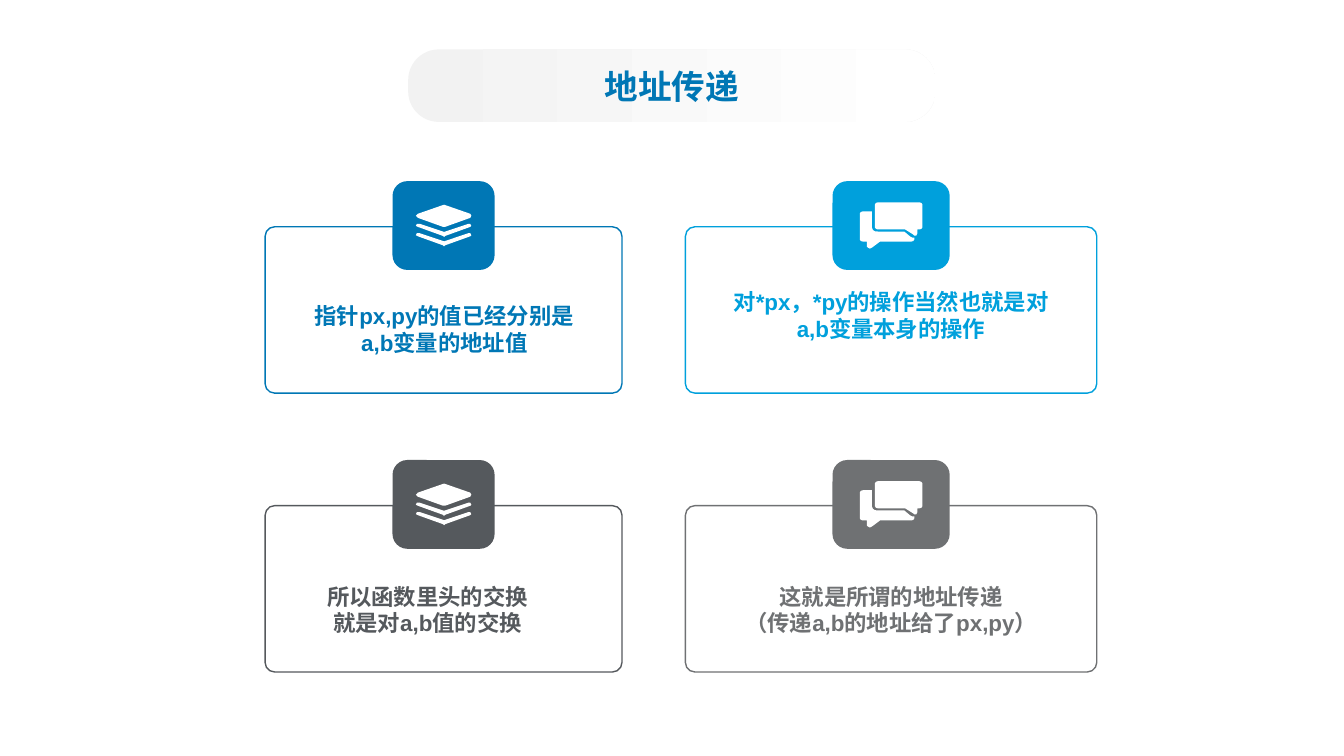
from pptx import Presentation
from pptx.dml.color import RGBColor
from pptx.enum.shapes import MSO_SHAPE
from pptx.enum.text import MSO_ANCHOR, PP_ALIGN
from pptx.util import Pt

BLUE = RGBColor(0x00, 0x77, 0xB5)
SKY = RGBColor(0x00, 0xA0, 0xDC)
SLATE = RGBColor(0x55, 0x59, 0x5D)
GRAY = RGBColor(0x6F, 0x71, 0x73)
PALE = RGBColor(0xF2, 0xF2, 0xF2)
WHITE = RGBColor(0xFF, 0xFF, 0xFF)

ICON_UNIT = 0.72
FINENESS = 10
ROW_TOPS = (162, 361.2)
CARD_HEIGHT = 118.8
BADGE_HEIGHT = 63.4
BADGE_RISE = 32.6

SHEET = [(2, 9), (27, 0.3), (28, 0), (29, 0.3), (54, 9), (55, 11),
         (54, 13), (29, 22), (27, 22), (2, 13), (0, 11)]
CHEVRON = [(3, 19), (4, 19), (28, 27), (52, 19), (54, 19), (55, 21), (54, 22),
           (29, 31), (28, 32), (27, 31), (2, 22), (0, 21), (1, 19)]
LAYERS = [SHEET, CHEVRON, [(x, y + 9.3) for x, y in CHEVRON]]
FRONT_BUBBLE = [(18, 0), (59, 0), (61, 0.6), (62, 2), (62, 25), (61, 26.4),
                (59, 27), (57, 27), (57, 31), (56, 33), (54, 33), (53, 32),
                (45, 27), (18, 27), (16, 26.4), (15, 25), (15, 2), (16, 0.6)]
BACK_BUBBLE = [(44, 29), (50, 34), (52, 35), (54, 35), (54, 37), (53, 38.4),
               (51, 39), (20, 39), (12, 45), (10, 46), (8, 45), (7, 44),
               (7, 39), (3, 39), (1, 38.4), (0, 37), (0, 11), (1, 9.6),
               (3, 9), (12, 9), (12, 25), (13, 27.5), (15, 28.8), (18, 29)]
BUBBLES = [FRONT_BUBBLE, BACK_BUBBLE]

COLUMNS = (
    {"left": 189.4, "width": 254.9, "badge_width": 72.9, "icon": LAYERS},
    {"left": 489.6, "width": 293.8, "badge_width": 83.7, "icon": BUBBLES},
)
CARDS = (
    (0, 0, BLUE, ("指针px,py的值已经分别是", "a,b变量的地址值"), (12, 54, 232, 53.3)),
    (0, 1, SKY, ("对*px，*py的操作当然也就是对", "a,b变量本身的操作"), (13.4, 44, 267, 63.4)),
    (1, 0, SLATE, ("所以函数里头的交换", "就是对a,b值的交换"), (0, 55, 232, 50.4)),
    (1, 1, GRAY, ("这就是所谓的地址传递", "（传递a,b的地址给了px,py）"), (13.4, 55, 267, 56.9)),
)


def style_paragraph(paragraph, text, size, font, color):
    paragraph.text = text
    paragraph.alignment = PP_ALIGN.CENTER
    paragraph.font.size = Pt(size)
    paragraph.font.name = font
    paragraph.font.bold = True
    paragraph.font.color.rgb = color


def add_rounded_box(shapes, left, top, width, height):
    box = shapes.add_shape(MSO_SHAPE.ROUNDED_RECTANGLE,
                           Pt(left), Pt(top), Pt(width), Pt(height))
    box.shadow.inherit = False
    return box


def add_icon(shapes, contours, center_x, center_y):
    width = max(x for contour in contours for x, _ in contour) * ICON_UNIT
    height = max(y for contour in contours for _, y in contour) * ICON_UNIT
    scaled = [[(x * FINENESS, y * FINENESS) for x, y in contour]
              for contour in contours]
    builder = shapes.build_freeform(*scaled[0][0], scale=Pt(ICON_UNIT) / FINENESS)
    builder.add_line_segments(scaled[0][1:])
    for contour in scaled[1:]:
        builder.move_to(*contour[0])
        builder.add_line_segments(contour[1:])
    icon = builder.convert_to_shape(Pt(center_x - width / 2), Pt(center_y - height / 2))
    icon.shadow.inherit = False
    icon.fill.solid()
    icon.fill.fore_color.rgb = WHITE
    icon.line.fill.background()


def add_card(slide, column, top, color, lines, text_box):
    shapes = slide.shapes.add_group_shape().shapes
    left, width = column["left"], column["width"]
    center_x = left + width / 2

    frame = add_rounded_box(shapes, left, top, width, CARD_HEIGHT)
    frame.adjustments[0] = 0.057
    frame.fill.background()
    frame.line.color.rgb = color
    frame.line.width = Pt(1)

    badge_top = top - BADGE_RISE
    badge = add_rounded_box(shapes, center_x - column["badge_width"] / 2, badge_top,
                            column["badge_width"], BADGE_HEIGHT)
    badge.fill.solid()
    badge.fill.fore_color.rgb = color
    badge.line.fill.background()
    add_icon(shapes, column["icon"], center_x, badge_top + BADGE_HEIGHT / 2)

    inset_x, inset_y, text_width, text_height = text_box
    message = shapes.add_textbox(Pt(left + inset_x), Pt(top + inset_y),
                                 Pt(text_width), Pt(text_height)).text_frame
    message.word_wrap = False
    message.margin_left = message.margin_right = 0
    message.margin_top = message.margin_bottom = 0
    style_paragraph(message.paragraphs[0], lines[0], 16, "Arial", color)
    for line in lines[1:]:
        style_paragraph(message.add_paragraph(), line, 16, "Arial", color)


def add_title(slide, left, top, width, height):
    banner = add_rounded_box(slide.shapes, left, top, width, height)
    banner.adjustments[0] = 0.423
    banner.line.fill.background()
    banner.fill.gradient()
    banner.fill.gradient_angle = 0
    for stop, position, color in zip(banner.fill.gradient_stops, (0, 0.99), (PALE, WHITE)):
        stop.position = position
        stop.color.rgb = color
    banner.text_frame.vertical_anchor = MSO_ANCHOR.MIDDLE
    style_paragraph(banner.text_frame.paragraphs[0], "地址传递", 24, "Noto Sans CJK SC", BLUE)


def main():
    presentation = Presentation()
    presentation.slide_width = Pt(960)
    presentation.slide_height = Pt(540)
    slide = presentation.slides.add_slide(presentation.slide_layouts[6])
    for row, column, color, lines, text_box in CARDS:
        add_card(slide, COLUMNS[column], ROW_TOPS[row], color, lines, text_box)
    add_title(slide, 291.6, 35.3, 376.6, 51.8)
    presentation.save("out.pptx")


if __name__ == "__main__":
    main()
